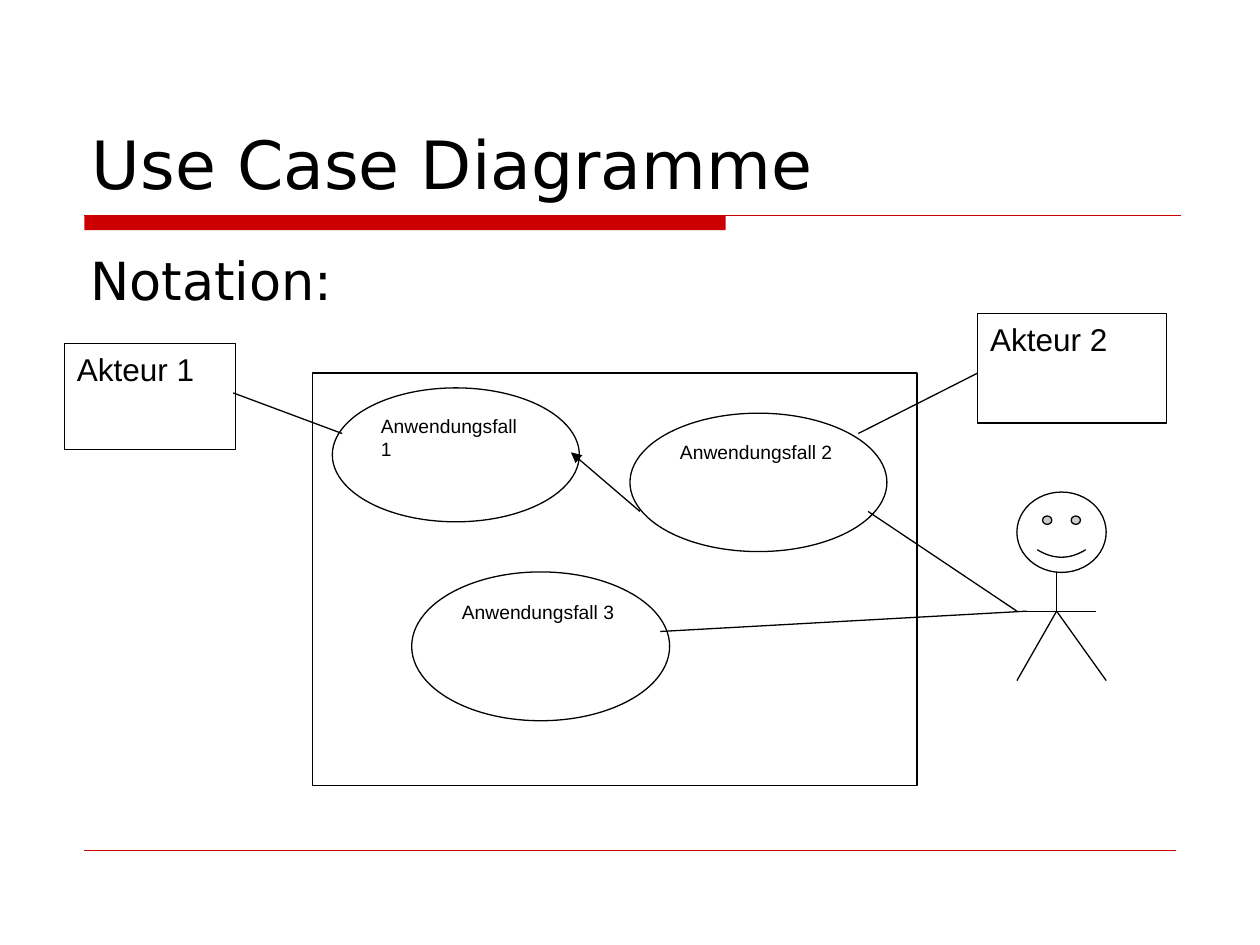
"""Build the slide on use case diagram notation."""
from lxml.etree import SubElement
from pptx import Presentation
from pptx.dml.color import RGBColor
from pptx.enum.shapes import MSO_CONNECTOR, MSO_SHAPE
from pptx.enum.text import MSO_ANCHOR, MSO_AUTO_SIZE, PP_ALIGN
from pptx.oxml.ns import qn
from pptx.util import Cm, Pt

BLACK = RGBColor(0, 0, 0)
WHITE = RGBColor(255, 255, 255)
RED = RGBColor(204, 0, 0)

TITLE = ("Use Case Diagramme", (1.6, 0.84, 22.22, 3.38))
HEADING = ("Notation:", (1.57, 4.88, 22.22, 11.86))
BAR = (1.7, 4.34, 12.93, 0.3)
RULES = [((1.7, 4.34), (23.8, 4.34), 0.75), ((1.7, 17.14), (23.7, 17.14), 0.25)]

NODES = [
    ("Akteur 1", MSO_SHAPE.RECTANGLE, (1.3, 6.93, 3.45, 2.13), 18),
    ("", MSO_SHAPE.RECTANGLE, (6.3, 7.52, 12.19, 8.31), 18),
    ("Akteur 2", MSO_SHAPE.RECTANGLE, (19.71, 6.32, 3.81, 2.21), 18),
    ("Anwendungsfall 1", MSO_SHAPE.OVAL, (6.7, 7.82, 4.98, 2.7), 11),
    ("Anwendungsfall 2", MSO_SHAPE.OVAL, (12.7, 8.33, 5.18, 2.79), 11),
    ("", MSO_SHAPE.SMILEY_FACE, (20.5, 9.92, 1.8, 1.62), 11),
    ("Anwendungsfall 3", MSO_SHAPE.OVAL, (8.3, 11.53, 5.2, 3), 11),
]

HIP = (21.3, 12.32)
LIMBS = [(21.3, 11.53), (20.5, 13.72), (22.3, 13.72), (20.5, 12.32), (22.1, 12.32)]
ASSOCIATIONS = [
    ((4.7, 7.92), (6.9, 8.74)),
    ((19.71, 7.52), (17.3, 8.74)),
    ((20.7, 12.32), (13.31, 12.73)),
    ((20.5, 12.32), (17.5, 10.31)),
]
DEPENDENCY = ((12.9, 10.31), (11.51, 9.12))


def write(shape, text, font_name, size, anchor=MSO_ANCHOR.TOP):
    frame = shape.text_frame
    frame_format = {
        "word_wrap": True,
        "auto_size": MSO_AUTO_SIZE.NONE,
        "vertical_anchor": anchor,
        "margin_left": Cm(0.25),
        "margin_right": Cm(0.25),
        "margin_top": Cm(0.13),
        "margin_bottom": Cm(0.13),
    }
    for name, value in frame_format.items():
        setattr(frame, name, value)
    para = frame.paragraphs[0]
    para.alignment = PP_ALIGN.LEFT
    span = para.add_run()
    span.text = text
    for name, value in {"name": font_name, "size": Pt(size)}.items():
        setattr(span.font, name, value)
    span.font.color.rgb = BLACK
    return para


def add_node(page, kind, place, fill, line):
    shape = page.shapes.add_shape(kind, *map(Cm, place))
    shape.shadow.inherit = False
    shape.fill.solid()
    shape.fill.fore_color.rgb = fill
    if line is None:
        shape.line.fill.background()
    else:
        shape.line.color.rgb = line
        shape.line.width = Pt(0.75)
    return shape


def add_line(page, start, end, color=BLACK, width=0.75, arrow=False):
    line = page.shapes.add_connector(MSO_CONNECTOR.STRAIGHT, *map(Cm, start + end))
    line.line.color.rgb = color
    line.line.width = Pt(width)
    if arrow:
        SubElement(line.line._get_or_add_ln(), qn("a:tailEnd"), type="triangle")
    SubElement(line._element.spPr, qn("a:effectLst"))


def main():
    deck = Presentation()
    deck.slide_width, deck.slide_height = Cm(25.4), Cm(19.05)
    page = deck.slides.add_slide(deck.slide_layouts[5])

    add_node(page, MSO_SHAPE.RECTANGLE, BAR, RED, None)
    for start, end, width in RULES:
        add_line(page, start, end, RED, width)

    text, place = TITLE
    title = page.shapes.title
    for name, value in zip(("left", "top", "width", "height"), place):
        setattr(title, name, Cm(value))
    write(title, text, "DejaVu Sans", 38, MSO_ANCHOR.BOTTOM)

    text, place = HEADING
    box = page.shapes.add_textbox(*map(Cm, place))
    write(box, text, "DejaVu Sans", 30).space_before = Pt(7.5)

    for text, kind, place, size in NODES:
        shape = add_node(page, kind, place, WHITE, BLACK)
        if text:
            write(shape, text, "Arial", size)

    for limb in LIMBS:
        add_line(page, HIP, limb)
    for start, end in ASSOCIATIONS:
        add_line(page, start, end)
    add_line(page, *DEPENDENCY, arrow=True)

    deck.save("out.pptx")


if __name__ == "__main__":
    main()
